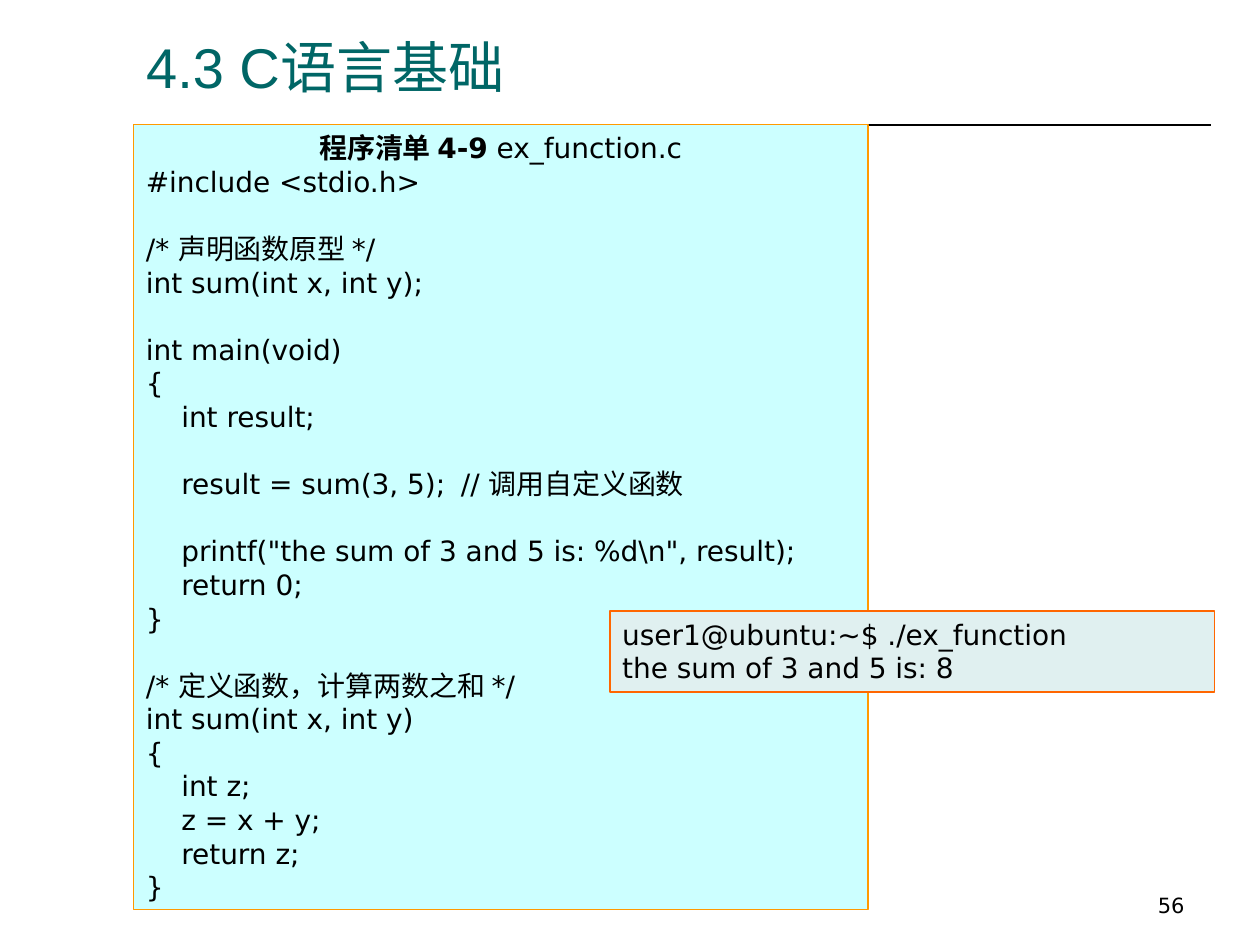
from lxml.etree import SubElement
from pptx import Presentation
from pptx.dml.color import RGBColor
from pptx.enum.shapes import MSO_CONNECTOR, MSO_SHAPE
from pptx.enum.text import MSO_ANCHOR as ANCHOR, MSO_AUTO_SIZE as FIT, PP_ALIGN as ALIGN
from pptx.oxml.ns import qn
from pptx.util import Inches, Pt

BLACK = RGBColor(0x00, 0x00, 0x00)
TEAL = RGBColor(0x00, 0x66, 0x66)
CYAN = RGBColor(0xCC, 0xFF, 0xFF)
AMBER = RGBColor(0xFF, 0x99, 0x00)
MIST = RGBColor(0xE0, 0xF0, 0xF0)
ORANGE = RGBColor(0xFF, 0x66, 0x00)
CODE_FONT = "DejaVu Sans"

TITLE = "4.3 C语言基础"
PAGE_NUMBER = "56"
LISTING_LABEL = "程序清单 4-9"
LISTING_FILE = " ex_function.c"
CODE = r"""#include <stdio.h>

/* 声明函数原型 */
int sum(int x, int y);

int main(void)
{
    int result;

    result = sum(3, 5);{tab}// 调用自定义函数

    printf("the sum of 3 and 5 is: %d\n", result);
    return 0;
}

/* 定义函数，计算两数之和 */
int sum(int x, int y)
{
    int z;
    z = x + y;
    return z;
}""".replace("{tab}", "\t").split("\n")
OUTPUT = ["user1@ubuntu:~$ ./ex_function", "the sum of 3 and 5 is: 8"]


def write(paragraph, text, size=16, font=CODE_FONT, color=BLACK, bold=False, align=ALIGN.LEFT):
    paragraph.alignment = align
    if not text:
        end = SubElement(paragraph._p, qn("a:endParaRPr"), sz=str(size * 100))
        SubElement(end, qn("a:latin"), typeface=font)
        return
    run = paragraph.add_run()
    run.text = text
    run.font.size = Pt(size)
    run.font.name = font
    run.font.bold = bold
    run.font.color.rgb = color


def add_panel(slide, place, fill, border, width):
    panel = slide.shapes.add_shape(MSO_SHAPE.RECTANGLE, *map(Inches, place))
    panel.shadow.inherit = False
    panel.fill.solid()
    panel.fill.fore_color.rgb = fill
    panel.line.color.rgb = border
    panel.line.width = Pt(width)
    frame = panel.text_frame
    frame.word_wrap = True
    frame.vertical_anchor = ANCHOR.TOP
    frame.auto_size = FIT.SHAPE_TO_FIT_TEXT
    return frame


def main():
    deck = Presentation()
    deck.slide_width, deck.slide_height = Inches(10), Inches(7.5)
    slide = deck.slides.add_slide(deck.slide_layouts[5])

    rule = slide.shapes.add_connector(
        MSO_CONNECTOR.STRAIGHT, Inches(1.14), Inches(0.99), Inches(9.61), Inches(0.99))
    rule.line.color.rgb = BLACK
    rule.line.width = Pt(1)
    SubElement(rule._element.spPr, qn("a:effectLst"))

    title = slide.shapes.title
    title.left, title.top, title.width, title.height = map(Inches, (1.06, 0.21, 8.47, 0.63))
    title.text_frame.auto_size = FIT.NONE
    title.text_frame.vertical_anchor = ANCHOR.BOTTOM
    write(title.text_frame.paragraphs[0], TITLE, size=32, font="Arial", color=TEAL)

    page = slide.shapes.add_textbox(*map(Inches, (7.17, 6.83, 2.33, 0.5))).text_frame
    page.word_wrap = True
    page.vertical_anchor = ANCHOR.BOTTOM
    write(page.paragraphs[0], PAGE_NUMBER, size=12, align=ALIGN.RIGHT)

    listing = add_panel(slide, (1.06, 0.99, 5.83, 6.23), CYAN, AMBER, 0.75)
    heading = listing.paragraphs[0]
    write(heading, LISTING_LABEL, bold=True, align=ALIGN.CENTER)
    write(heading, LISTING_FILE, align=ALIGN.CENTER)
    for line in CODE:
        write(listing.add_paragraph(), line)

    terminal = add_panel(slide, (4.84, 4.85, 4.8, 0.64), MIST, ORANGE, 1)
    write(terminal.paragraphs[0], OUTPUT[0])
    write(terminal.add_paragraph(), OUTPUT[1])

    deck.save("out.pptx")


if __name__ == "__main__":
    main()
